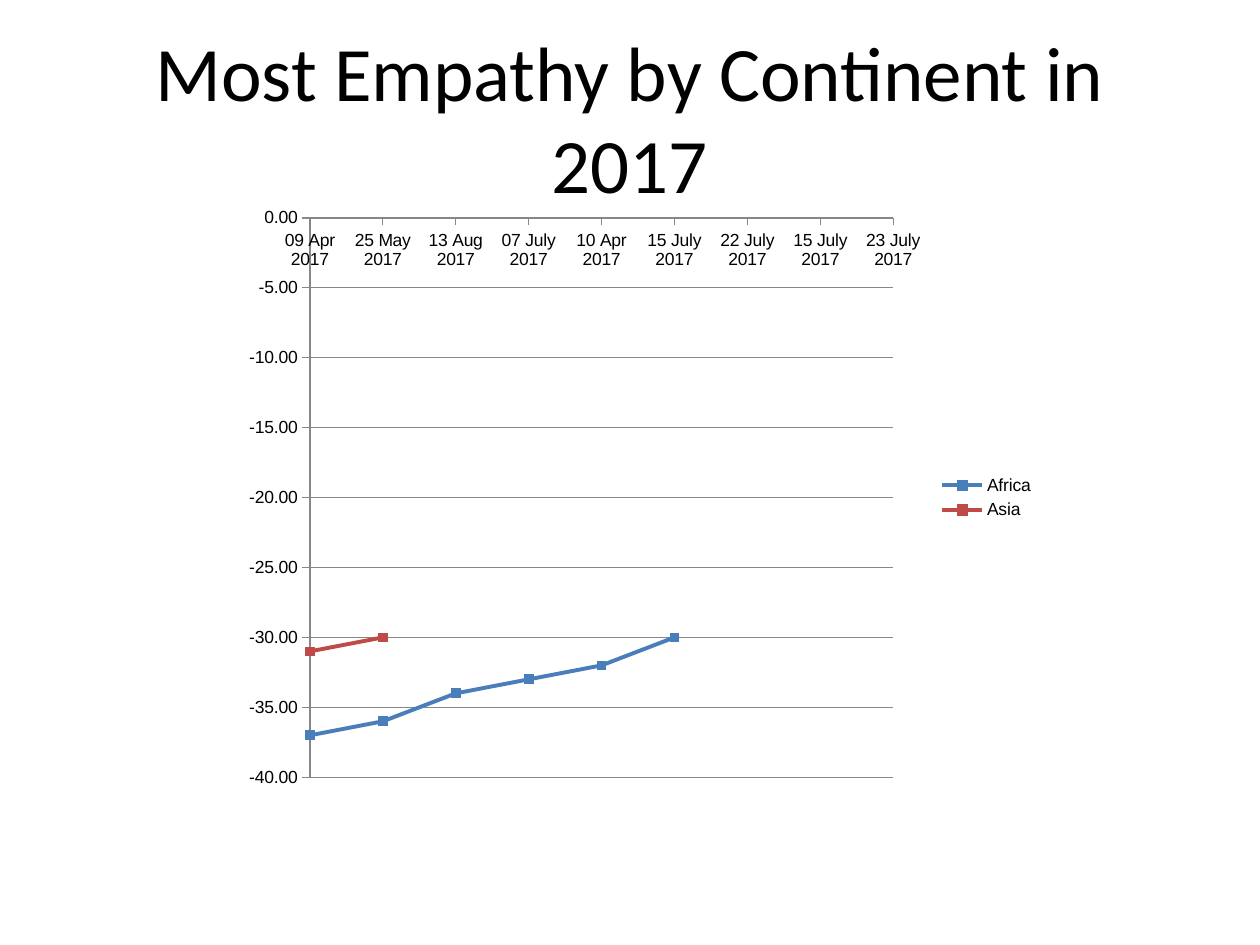
from dataclasses import dataclass
from typing import Optional

import lxml.etree
import pptx
import pptx.chart.data
import pptx.dml.color
import pptx.enum.chart
import pptx.enum.text
import pptx.oxml.ns
import pptx.util

Inches = pptx.util.Inches
Pt = pptx.util.Pt
RGB = pptx.dml.color.RGBColor


@dataclass(frozen=True)
class Theme:
    """Colours, fonts and type sizes of the slide."""
    text: RGB = RGB.from_string("000000")
    background: RGB = RGB.from_string("FFFFFF")
    axis: RGB = RGB.from_string("878787")
    title_font: str = "Calibri"
    chart_font: str = "Arial"
    title_size: int = 44
    chart_size: int = 10
    axis_width: float = 0.74
    series_width: float = 2.24


@dataclass(frozen=True)
class Continent:
    """One line of the chart."""
    name: str
    color: str
    values: tuple[Optional[int], ...]


@dataclass(frozen=True)
class Box:
    """A place in inches."""
    left: float
    top: float
    width: float
    height: float

    def lengths(self) -> tuple:
        """Return the four lengths for python-pptx."""
        return tuple(map(Inches, (self.left, self.top, self.width, self.height)))


THEME = Theme()
TITLE_BOX = Box(0.5, 0.3, 9, 1.25)
CHART_BOX = Box(1.85, 1.55, 6.46, 4.8)
PLOT_BOX = Box(0.61, 0.18, 4.63, 4.44)  # measured from the chart corner
DATES = ("09 Apr 2017", "25 May 2017", "13 Aug 2017", "07 July 2017", "10 Apr 2017",
         "15 July 2017", "22 July 2017", "15 July 2017", "23 July 2017")
CONTINENTS = (
    Continent("Africa", "4A7EBB", (-37, -36, -34, -33, -32, -30)),
    Continent("Asia", "BE4B48", (-31, -30)),
)


def style_line(line, color: RGB, width: float) -> None:
    """Give a line its colour and width."""
    line.color.rgb = color
    line.width = Pt(width)


def add_title(slide, text: str) -> None:
    """Fill and place the title placeholder."""
    sp = slide.shapes.title
    sp.left, sp.top, sp.width, sp.height = TITLE_BOX.lengths()
    tf = sp.text_frame
    tf.word_wrap = True
    tf.auto_size = pptx.enum.text.MSO_AUTO_SIZE.NONE
    tf.vertical_anchor = pptx.enum.text.MSO_ANCHOR.MIDDLE
    p = tf.paragraphs[0]
    p.alignment = pptx.enum.text.PP_ALIGN.CENTER
    r = p.add_run()
    r.text = text
    r.font.name = THEME.title_font
    r.font.size = Pt(THEME.title_size)
    r.font.color.rgb = THEME.text


def style_font(font) -> None:
    """Apply the chart font."""
    font.name = THEME.chart_font
    font.size = Pt(THEME.chart_size)
    font.color.rgb = THEME.text


def style_axis(axis) -> None:
    """Apply what both axes share."""
    axis.major_tick_mark = pptx.enum.chart.XL_TICK_MARK.OUTSIDE
    axis.minor_tick_mark = pptx.enum.chart.XL_TICK_MARK.NONE
    style_line(axis.format.line, THEME.axis, THEME.axis_width)
    style_font(axis.tick_labels.font)


def set_plot_layout(chart) -> None:
    """Fix the inner plot area, fill it and start the lines on the value axis."""
    qn = pptx.oxml.ns.qn
    sub = lxml.etree.SubElement
    area = chart.element.find(".//" + qn("c:plotArea"))
    layout = area.find(qn("c:layout"))
    if layout is None:
        layout = lxml.etree.Element(qn("c:layout"))
        area.insert(0, layout)
    manual = sub(layout, qn("c:manualLayout"))
    settings = {
        "layoutTarget": "inner", "xMode": "edge", "yMode": "edge",
        "x": PLOT_BOX.left / CHART_BOX.width, "y": PLOT_BOX.top / CHART_BOX.height,
        "w": PLOT_BOX.width / CHART_BOX.width, "h": PLOT_BOX.height / CHART_BOX.height,
    }
    for tag, value in settings.items():
        sub(manual, qn("c:" + tag)).set("val", str(value))
    value_axis = area.find(qn("c:valAx"))
    cross = value_axis.find(qn("c:crossBetween"))
    if cross is None:
        cross = lxml.etree.Element(qn("c:crossBetween"))
        value_axis.find(qn("c:crosses")).addnext(cross)
    cross.set("val", "midCat")
    fill = sub(sub(area, qn("c:spPr")), qn("a:solidFill"))
    sub(fill, qn("a:srgbClr")).set("val", str(THEME.background))


def add_empathy_chart(slide) -> None:
    """Draw the line chart of empathy by continent."""
    data = pptx.chart.data.CategoryChartData(number_format="#,##0.00")
    data.categories = DATES
    for continent in CONTINENTS:
        gaps = (None,) * (len(DATES) - len(continent.values))
        data.add_series(continent.name, continent.values + gaps)
    chart = slide.shapes.add_chart(
        pptx.enum.chart.XL_CHART_TYPE.LINE_MARKERS, *CHART_BOX.lengths(), data).chart
    chart.has_title = False
    style_font(chart.font)
    chart.has_legend = True
    chart.legend.position = pptx.enum.chart.XL_LEGEND_POSITION.RIGHT
    chart.legend.include_in_layout = False
    style_font(chart.legend.font)

    style_axis(chart.category_axis)
    axis = chart.value_axis
    style_axis(axis)
    axis.minimum_scale, axis.maximum_scale, axis.major_unit = -40, 0, 5
    axis.tick_labels.number_format = "#,##0.00"
    axis.tick_labels.number_format_is_linked = False
    axis.has_major_gridlines = True
    style_line(axis.major_gridlines.format.line, THEME.axis, THEME.axis_width)

    chart.plots[0].vary_by_categories = False
    for series, continent in zip(chart.plots[0].series, CONTINENTS):
        color = RGB.from_string(continent.color)
        series.smooth = False
        style_line(series.format.line, color, THEME.series_width)
        marker = series.marker
        marker.style = pptx.enum.chart.XL_MARKER_STYLE.SQUARE
        marker.size = 5
        marker.format.fill.solid()
        marker.format.fill.fore_color.rgb = color
        marker.format.line.color.rgb = color
    set_plot_layout(chart)


def main() -> None:
    """Build and save the slide."""
    prs = pptx.Presentation()
    prs.slide_width, prs.slide_height = Inches(10), Inches(7.5)
    s = prs.slides.add_slide(prs.slide_layouts[5])
    s.background.fill.solid()
    s.background.fill.fore_color.rgb = THEME.background
    add_title(s, "Most Empathy by Continent in 2017")
    add_empathy_chart(s)
    prs.save("out.pptx")


main()
